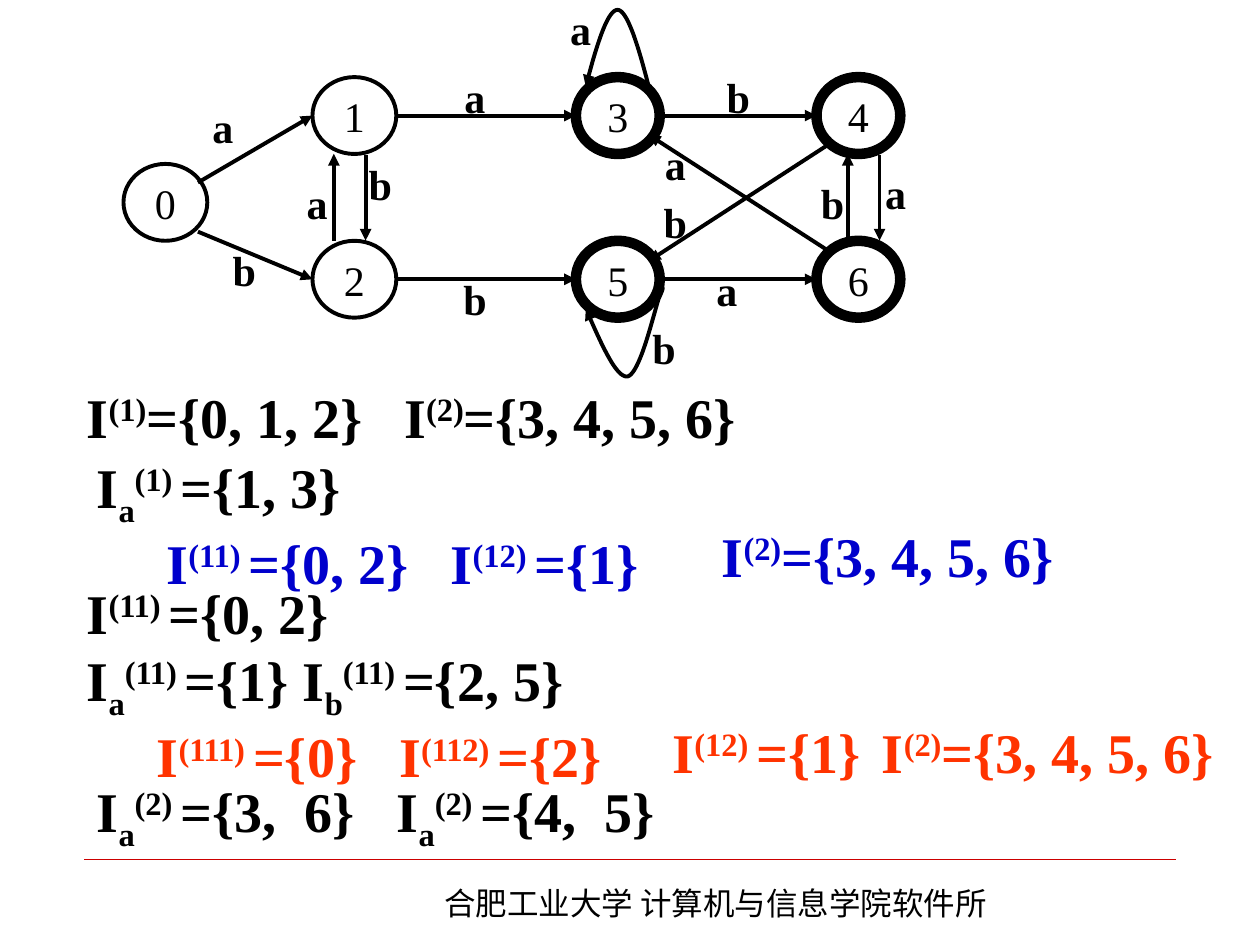
from dataclasses import dataclass

from lxml.etree import SubElement
from pptx import Presentation
from pptx.dml.color import RGBColor
from pptx.enum.shapes import MSO_CONNECTOR as Connector, MSO_SHAPE as Shape
from pptx.enum.text import MSO_ANCHOR as Anchor, PP_ALIGN as Align
from pptx.oxml.ns import qn
from pptx.util import Cm, Pt

BLACK, BLUE, ORANGE, RED = "000000", "0000CC", "FF3300", "CC0000"
SERIF, CJK = "Times New Roman", "Noto Sans CJK SC"
NODE_WIDTH, NODE_HEIGHT = 1.69, 1.55
LABEL_WIDTH, LABEL_HEIGHT = 1.47, 1.17
UPPER, MIDDLE, LOWER = 2.33, 4.08, 5.63
CURVE_STEPS = 24
BASELINES = {"^": "30000", "_": "-25000"}


@dataclass
class Node:
    name: str
    left: float
    center_y: float
    final: bool = False


@dataclass
class Arrow:
    start: tuple[float, float]
    end: tuple[float, float]


@dataclass
class Label:
    text: str
    left: float
    top: float


@dataclass
class Row:
    markup: str
    color: str = BLACK
    tabs: tuple[float, ...] = ()


@dataclass
class Formula:
    left: float
    top: float
    width: float
    height: float
    rows: list[Row]


NODES = [
    Node("0", 2.49, MIDDLE),
    Node("1", 6.3, UPPER),
    Node("2", 6.3, LOWER),
    Node("3", 11.61, UPPER, True),
    Node("5", 11.61, LOWER, True),
    Node("4", 16.46, UPPER, True),
    Node("6", 16.46, LOWER, True),
]
ARROWS = [
    Arrow((3.99, 3.68), (6.3, UPPER)),
    Arrow((3.99, 4.67), (6.3, LOWER)),
    *(Arrow((start, y), (end, y))
      for y in (UPPER, LOWER) for start, end in ((8, 11.61), (13.28, 16.46))),
    Arrow((7.37, 3.12), (7.37, 4.85)),
    Arrow((6.73, 4.85), (6.73, 3.1)),
    Arrow((17.09, 4.85), (17.09, 3.1)),
    Arrow((17.73, 3.12), (17.73, 4.85)),
    Arrow((16.69, 2.92), (13.08, 5.26)),
    Arrow((16.69, 5.05), (13.08, 2.72)),
]
LABELS = [
    Label("a", 3.76, 1.96), Label("a", 8.84, 1.37), Label("b", 14.15, 1.37),
    Label("b", 4.19, 4.85), Label("b", 8.84, 5.44), Label("a", 13.92, 5.26),
    Label("b", 6.93, 3.12), Label("a", 5.66, 3.51), Label("a", 17.32, 3.3),
    Label("b", 16.05, 3.51), Label("a", 12.88, 2.72), Label("b", 12.88, 3.89),
    Label("a", 10.97, 0), Label("b", 12.65, 6.43),
]
LOOPS = [
    [(13.08, 1.75), (12.88, 0.97), (12.65, 0.2), (12.45, 0.2),
     (12.24, 0.2), (12.01, 0.97), (11.81, 1.75)],
    [(13.28, 5.84), (13.36, 5.79), (13.41, 5.74), (13.28, 6.02),
     (13.18, 6.32), (12.9, 7.54), (12.65, 7.59),
     (12.42, 7.62), (12.12, 6.93), (11.81, 6.22)],
]
FORMULAS = [
    Formula(1.5, 7.59, 14.6, 1.63, [
        Row("I|^(1)|={0, 1, 2}\tI|^(2)|={3, 4, 5, 6}", tabs=(6.4,))]),
    Formula(1.7, 8.99, 21.84, 3.15, [
        Row("I|_a|^(1) |={1, 3}"),
        Row("\tI|^(11) |={0, 2}\tI|^(12) |={1}", BLUE, (1.41, 7.14))]),
    Formula(14.3, 10.39, 7.8, 1.63, [Row("I|^(2)|={3, 4, 5, 6}", BLUE)]),
    Formula(1.5, 11.53, 21.84, 4.52, [
        Row("I|^(11) |={0, 2}"),
        Row("I|_a|^(11) |={1} I|_b|^(11) |={2, 5}"),
        Row("\tI|^(111) |={0}\tI|^(112) |={2}", ORANGE, (1.41, 6.3))]),
    Formula(13.31, 14.33, 11.61, 1.63, [
        Row("I|^(12) |={1}\tI|^(2)|={3, 4, 5, 6}", ORANGE, (4.22,))]),
    Formula(1.7, 15.52, 16, 1.8, [
        Row("I|_a|^(2) |={3,  6}\tI|_a|^(2) |={4,  5}", tabs=(6.05,))]),
]


def rgb(color: str) -> RGBColor:
    return RGBColor.from_string(color)


def set_font(para, size: float, bold: bool = False, color: str = BLACK, name: str = SERIF) -> None:
    font = para.font
    font.name, font.size, font.bold = name, Pt(size), bold
    font.color.rgb = rgb(color)


def set_line(line, width: float, color: str = BLACK, arrow: bool = False) -> None:
    line.color.rgb = rgb(color)
    line.width = Pt(width)
    if arrow:
        SubElement(line._get_or_add_ln(), qn("a:tailEnd"), type="triangle")


def center_text(shape, text: str, bold: bool) -> None:
    frame = shape.text_frame
    frame.word_wrap = False
    frame.vertical_anchor = Anchor.MIDDLE
    para = frame.paragraphs[0]
    para.text = text
    para.alignment = Align.CENTER
    set_font(para, 24, bold)


def draw_node(page, node: Node) -> None:
    oval = page.shapes.add_shape(
        Shape.OVAL, Cm(node.left), Cm(node.center_y - NODE_HEIGHT / 2), Cm(NODE_WIDTH), Cm(NODE_HEIGHT))
    oval.shadow.inherit = False
    oval.fill.background()
    set_line(oval.line, 6 if node.final else 2.25)
    center_text(oval, node.name, False)


def draw_line(page, path: Arrow, width: float, color: str = BLACK, arrow: bool = False) -> None:
    connector = page.shapes.add_connector(
        Connector.STRAIGHT, *(Cm(value) for value in path.start + path.end))
    set_line(connector.line, width, color, arrow)
    SubElement(connector._element.spPr, qn("a:effectLst"))


def draw_label(page, label: Label) -> None:
    box = page.shapes.add_textbox(Cm(label.left), Cm(label.top), Cm(LABEL_WIDTH), Cm(LABEL_HEIGHT))
    center_text(box, label.text, True)


def bezier(controls: list[tuple[float, float]], t: float) -> tuple[int, int]:
    weights = ((1 - t) ** 3, 3 * t * (1 - t) ** 2, 3 * t ** 2 * (1 - t), t ** 3)
    x, y = (sum(w * v for w, v in zip(weights, axis)) for axis in zip(*controls))
    return Cm(x), Cm(y)


def draw_loop(page, controls: list[tuple[float, float]]) -> None:
    points = [bezier(controls[first:first + 4], step / CURVE_STEPS)
              for first in range(0, len(controls) - 1, 3)
              for step in range(1, CURVE_STEPS + 1)]
    builder = page.shapes.build_freeform(*bezier(controls[:4], 0))
    builder.add_line_segments(points, close=False)
    loop = builder.convert_to_shape()
    loop.shadow.inherit = False
    loop.fill.background()
    set_line(loop.line, 2.25, arrow=True)


def write_row(para, row: Row) -> None:
    if row.tabs:
        stops = SubElement(para._p.get_or_add_pPr(), qn("a:tabLst"))
        for stop in row.tabs:
            SubElement(stops, qn("a:tab"), pos=str(Cm(stop)), algn="l")
    set_font(para, 32, True, row.color)
    for piece in row.markup.split("|"):
        baseline = BASELINES.get(piece[0])
        span = para.add_run()
        span.text = piece[1:] if baseline else piece
        if baseline:
            span._r.get_or_add_rPr().set("baseline", baseline)


def draw_formula(page, formula: Formula) -> None:
    box = page.shapes.add_textbox(
        Cm(formula.left), Cm(formula.top), Cm(formula.width), Cm(formula.height))
    frame = box.text_frame
    frame.word_wrap = True
    for index, row in enumerate(formula.rows):
        write_row(frame.add_paragraph() if index else frame.paragraphs[0], row)


def draw_footer(page) -> None:
    draw_line(page, Arrow((1.7, 17.32), (23.7, 17.32)), 0.25, RED)
    box = page.shapes.add_textbox(Cm(8.71), Cm(17.7), Cm(11.99), Cm(1.02))
    box.text_frame.word_wrap = True
    para = box.text_frame.paragraphs[0]
    span = para.add_run()
    span.text = "合肥工业大学 计算机与信息学院软件所"
    set_font(para, 18, name=CJK)
    SubElement(span._r.get_or_add_rPr(), qn("a:ea"), typeface=CJK)


def main() -> None:
    deck = Presentation()
    deck.slide_width, deck.slide_height = Cm(25.4), Cm(19.05)
    page = deck.slides.add_slide(deck.slide_layouts[6])
    draw_footer(page)
    for node in NODES:
        draw_node(page, node)
    for arrow in ARROWS:
        draw_line(page, arrow, 2.25, arrow=True)
    for label in LABELS:
        draw_label(page, label)
    for loop in LOOPS:
        draw_loop(page, loop)
    for formula in FORMULAS:
        draw_formula(page, formula)
    deck.save("out.pptx")


if __name__ == "__main__":
    main()
